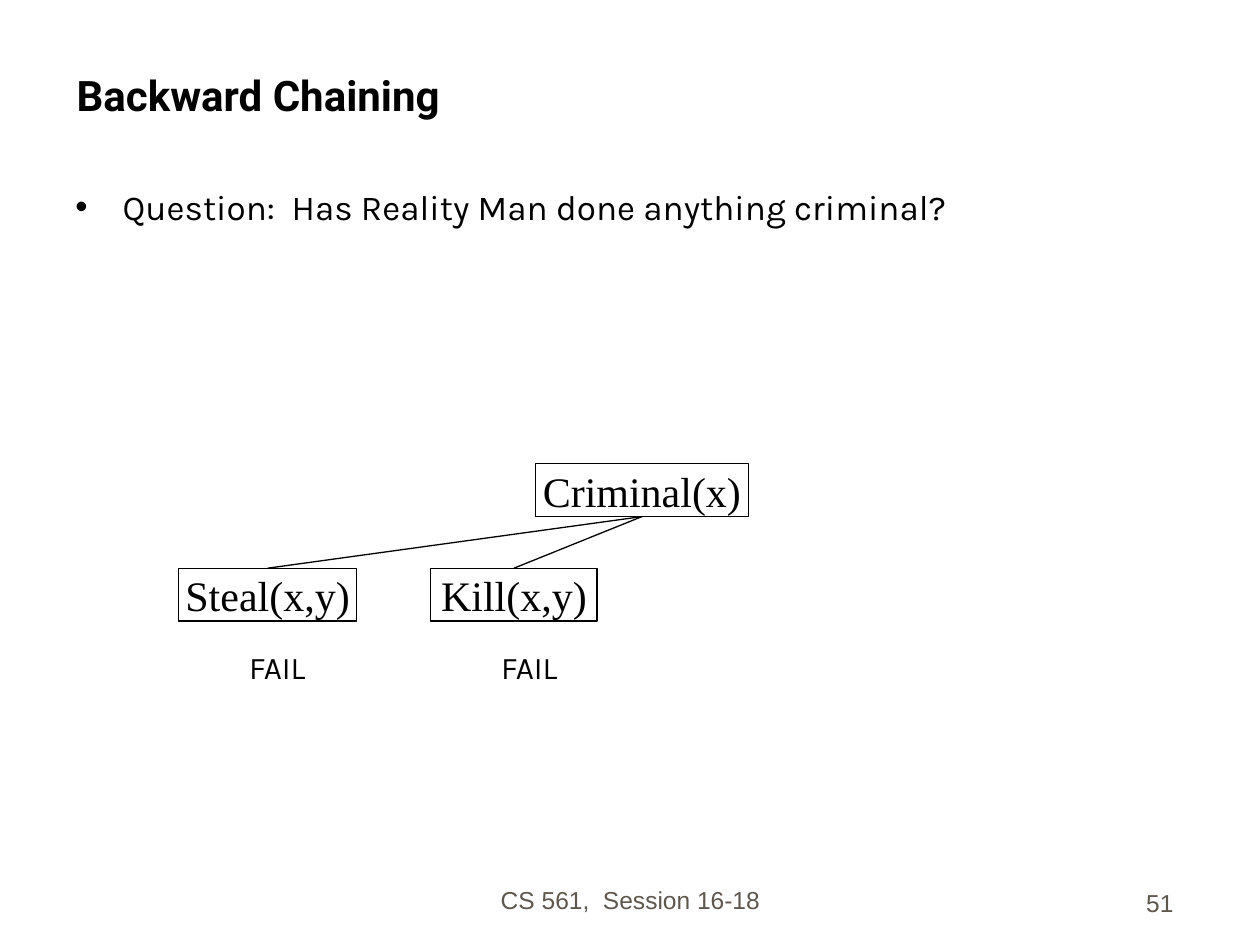
from dataclasses import dataclass

from lxml import etree
from pptx import Presentation
from pptx import util as u
from pptx.dml.color import RGBColor
from pptx.enum import shapes, text
from pptx.oxml.ns import qn


@dataclass(frozen=True)
class Theme:
    ink: RGBColor = RGBColor(0, 0, 0)
    muted: RGBColor = RGBColor(0x5E, 0x57, 0x4E)
    title: float = 24
    body: float = 20
    label: float = 18
    node: float = 24
    footer: float = 14
    line: float = 0.75


@dataclass(frozen=True)
class Label:
    words: str
    left: float
    top: float
    width: float
    height: float
    font: dict
    align: text.PP_ALIGN = text.PP_ALIGN.LEFT
    anchor: text.MSO_ANCHOR = text.MSO_ANCHOR.BOTTOM


@dataclass(frozen=True)
class Node:
    words: str
    left: float
    top: float
    width: float


T = Theme()
NODE_HEIGHT = 30.2
TITLE = dict(name="Roboto", size=u.Pt(T.title), bold=True)
BODY = dict(name="Karla", size=u.Pt(T.body))
RESULT = dict(name="Karla", size=u.Pt(T.label))
NODE = dict(name="Times New Roman", size=u.Pt(T.node))
FOOTER = dict(name="Arial", size=u.Pt(T.footer))

QUESTION = Label("Question:  Has Reality Man done anything criminal?",
                 36, 102.2, 643.7, 375, BODY, anchor=text.MSO_ANCHOR.TOP)
GOAL = Node("Criminal(x)", 306, 265, 121.7)
SUBGOALS = [Node("Steal(x,y)", 102.2, 324.7, 101.5), Node("Kill(x,y)", 246.2, 324.7, 95)]
FAIL_CENTERS = [158.4, 302.4]


def write(tf, words: str, font: dict, align, anchor, color: RGBColor, wrap: bool):
    for key, value in dict(word_wrap=wrap, vertical_anchor=anchor).items():
        setattr(tf, key, value)
    p = tf.paragraphs[0]
    p.alignment = align
    r = p.add_run()
    r.text = words
    for key, value in font.items():
        setattr(r.font, key, value)
    r.font.color.rgb = color
    return p


def add_label(s, label: Label, color: RGBColor = T.ink):
    sp = s.shapes.add_textbox(*map(u.Pt, (label.left, label.top, label.width, label.height)))
    return write(sp.text_frame, label.words, label.font, label.align, label.anchor, color, True)


def add_bullet(p, indent: float) -> None:
    pPr = p._p.get_or_add_pPr()
    pPr.set("marL", str(u.Pt(indent)))
    pPr.set("indent", str(-u.Pt(indent)))
    etree.SubElement(pPr, qn("a:buFont")).set("typeface", "Arial")
    etree.SubElement(pPr, qn("a:buChar")).set("char", "•")


def add_node(s, node: Node):
    sp = s.shapes.add_shape(shapes.MSO_SHAPE.RECTANGLE,
                            *map(u.Pt, (node.left, node.top, node.width, NODE_HEIGHT)))
    sp.shadow.inherit = False
    sp.fill.background()
    sp.line.color.rgb = T.ink
    sp.line.width = u.Pt(T.line)
    write(sp.text_frame, node.words, NODE, text.PP_ALIGN.CENTER,
          text.MSO_ANCHOR.MIDDLE, T.ink, False)
    return sp


def add_edge(s, parent, child) -> None:
    edge = s.shapes.add_connector(shapes.MSO_CONNECTOR.STRAIGHT, 0, 0, 0, 0)
    edge.begin_connect(parent, 2)
    edge.end_connect(child, 0)
    edge.line.color.rgb = T.ink
    edge.line.width = u.Pt(T.line)
    etree.SubElement(edge._element.spPr, qn("a:effectLst"))


def main() -> None:
    prs = Presentation()
    prs.slide_width, prs.slide_height = u.Pt(720), u.Pt(540)
    s = prs.slides.add_slide(prs.slide_layouts[6])

    add_label(s, Label("CS 561,  Session 16-18", 246.2, 490.3, 228.2, 36, FOOTER,
                       text.PP_ALIGN.CENTER), T.muted)
    add_label(s, Label("51", 527.8, 491.8, 149.8, 36, FOOTER, text.PP_ALIGN.RIGHT), T.muted)
    add_label(s, Label("Backward Chaining", 36.7, 18, 642.2, 54, TITLE))
    add_bullet(add_label(s, QUESTION), 27)

    goal = add_node(s, GOAL)
    for subgoal in SUBGOALS:
        add_edge(s, goal, add_node(s, subgoal))
    for center in FAIL_CENTERS:
        add_label(s, Label("FAIL", center - 30, 367, 60, 28, RESULT,
                           text.PP_ALIGN.CENTER, text.MSO_ANCHOR.MIDDLE))

    prs.save("out.pptx")


if __name__ == "__main__":
    main()
